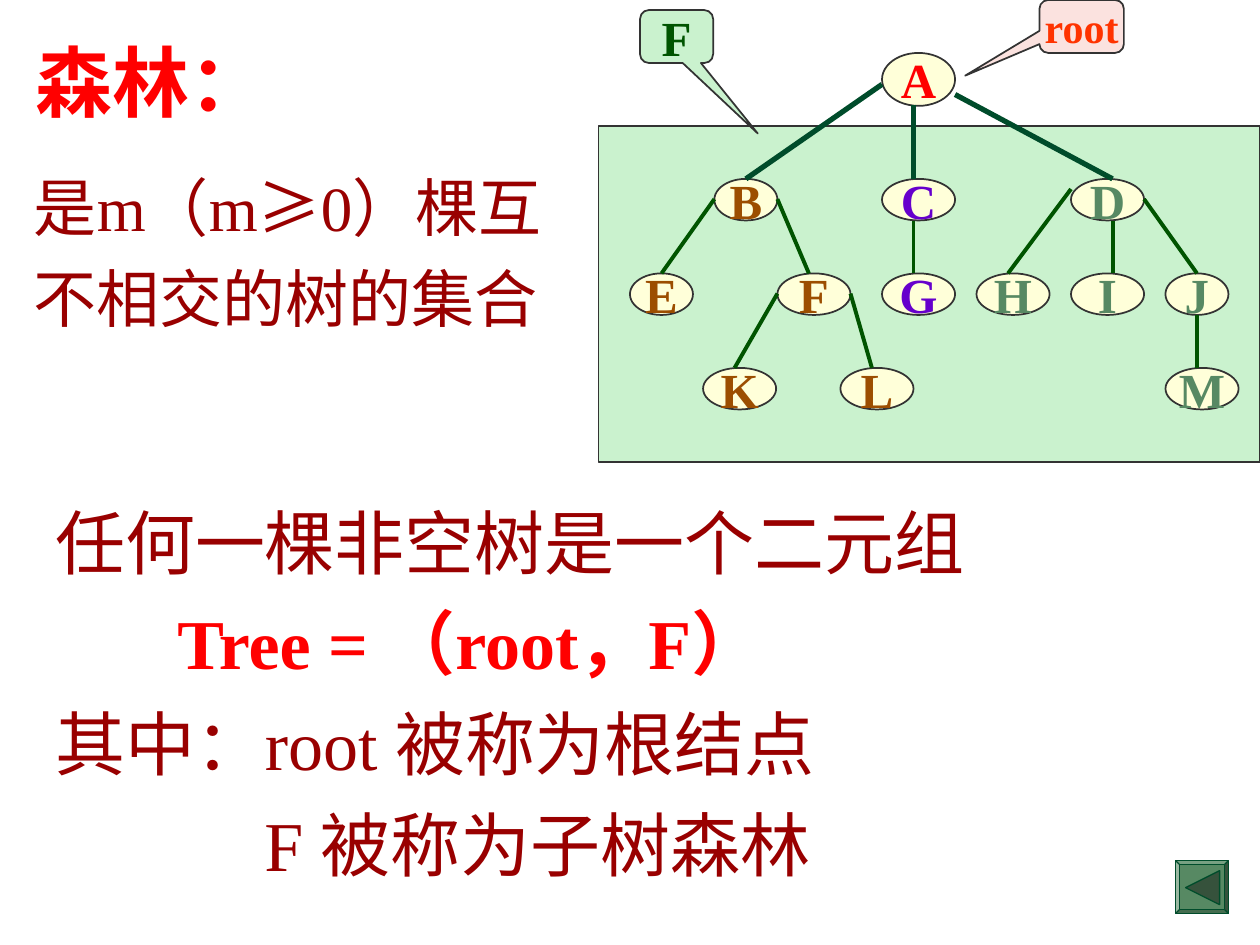
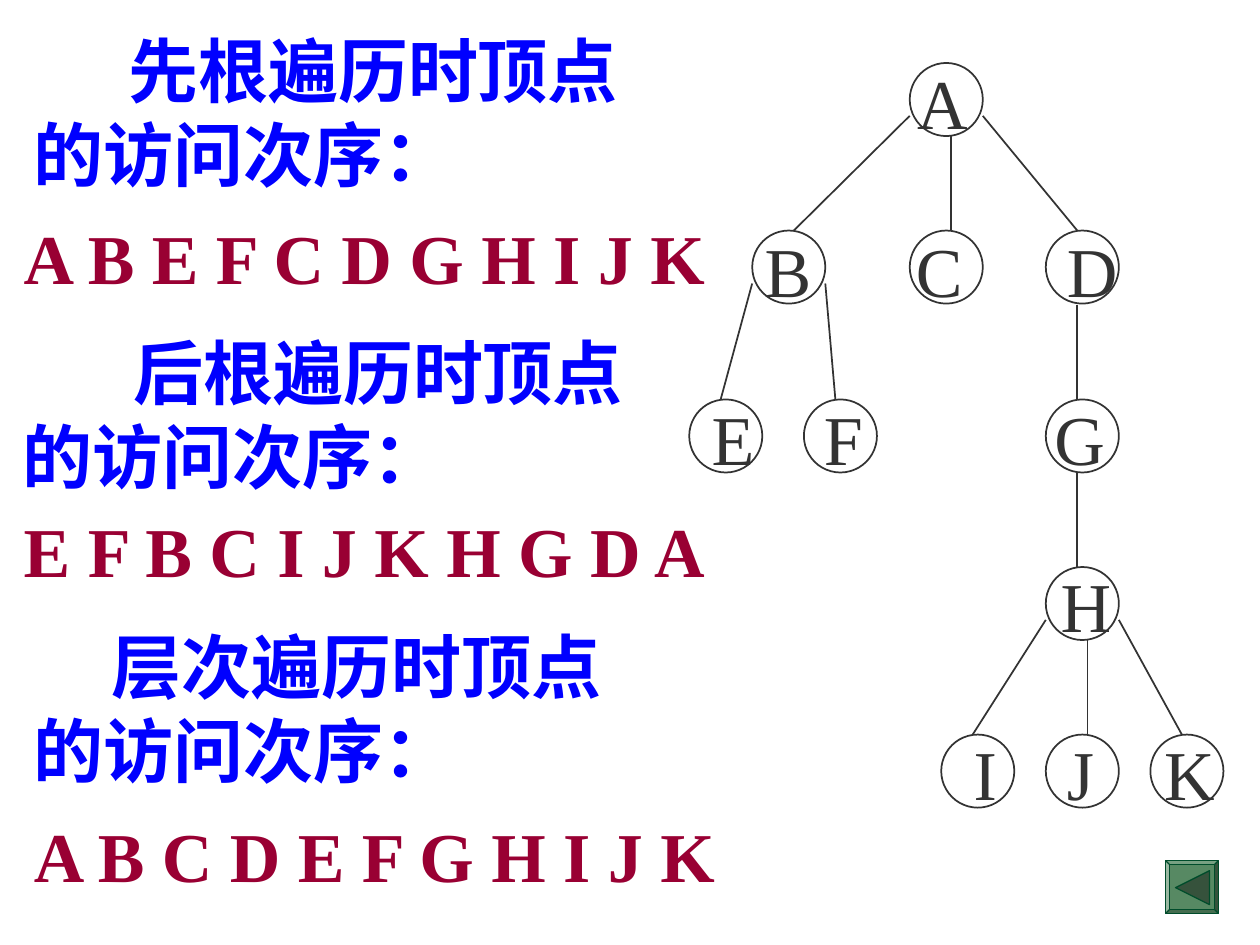
from lxml import etree
from pptx import Presentation
from pptx.dml.color import RGBColor
from pptx.enum import shapes, text
from pptx.oxml.ns import qn
from pptx.util import Inches, Pt

HUES = {"ink": "333333", "red": "FF0000", "maroon": "990000", "wine": "990033",
        "blue": "0000FF", "cream": "FFFFD9", "mint": "CAF2CE", "pink": "FBE2DF",
        "orange": "FF3300", "brown": "9C4E00", "violet": "6600CC", "sage": "578963",
        "leaf": "005400", "pine": "004C2B", "moss": "36523C"}
HUES = {name: RGBColor.from_string(code) for name, code in HUES.items()}
KIND = shapes.MSO_SHAPE

deck = Presentation()
deck.slide_width, deck.slide_height = Inches(10), Inches(7.5)
blank = deck.slide_layouts[6]


def form(slide, kind, box, fill=None, line="ink", width=1):
    """Add a preset shape without shadow; no fill name means an empty one."""
    shape = slide.shapes.add_shape(kind, *map(Inches, box))
    shape.shadow.inherit = False
    if fill:
        shape.fill.solid()
        shape.fill.fore_color.rgb = HUES[fill]
    else:
        shape.fill.background()
    shape.line.color.rgb = HUES[line]
    shape.line.width = Pt(width)
    return shape


def write(shape, lines, size, hue, bold=False, wrap=False, space=None, center=False):
    """Fill a shape with lines, each a string or (string, indent, hue, bold)."""
    frame = shape.text_frame
    frame.word_wrap = wrap
    frame.vertical_anchor = text.MSO_ANCHOR.MIDDLE if center else text.MSO_ANCHOR.TOP
    for i, line in enumerate(lines):
        words, indent, tint, heavy = (line, 0, hue, bold) if isinstance(line, str) else line
        para = frame.paragraphs[0] if i == 0 else frame.add_paragraph()
        if indent:
            para._p.get_or_add_pPr().set("indent", str(Inches(indent)))
        if space:
            para.line_spacing = space
        para.alignment = text.PP_ALIGN.CENTER if center else text.PP_ALIGN.LEFT
        for part in filter(None, words.partition("≥")):
            run = para.add_run()
            run.text = part
            if part == "≥":
                run.font.name = "Noto Sans CJK SC"
        para.font.name = "Times New Roman"
        para.font.size = Pt(size)
        para.font.bold = heavy
        para.font.color.rgb = HUES[tint]


# Slide 1: forest and the tree as a pair
forest = deck.slides.add_slide(blank)
pair = forest.shapes.add_textbox(*map(Inches, (0.34, 3.78, 7.6, 3.3)))
write(pair, ["任何一棵非空树是一个二元组",
             ("Tree = （root，F）", 0.97, "red", True),
             "其中：root 被称为根结点",
             ("F 被称为子树森林", 1.66, "maroon", False)], 40, "maroon", wrap=True, space=1.2)
title = forest.shapes.add_textbox(*map(Inches, (0.18, 0.08, 2.03, 0.98)))
write(title, ["森林："], 44, "red", True, space=1.2)
body = forest.shapes.add_textbox(*map(Inches, (0.17, 1.17, 4.75, 1.54)))
write(body, ["是m（m≥0）棵互", "不相交的树的集合"], 36, "maroon", wrap=True, space=1.2)

form(forest, KIND.RECTANGLE, (4.75, 1, 5.25, 2.67), "mint")
calls = [("root", (8.25, 0, 0.67, 0.42), (-1.38, 0.93), "pink", 24, "orange"),
         ("F", (5.08, 0.08, 0.58, 0.42), (1.11, 1.83), "mint", 28, "leaf")]
for label, box, tip, fill, size, hue in calls:
    call = form(forest, KIND.ROUNDED_RECTANGULAR_CALLOUT, box, fill)
    call.adjustments[0], call.adjustments[1] = tip
    write(call, [label], size, hue, True, center=True)

rows = [(0.42, 0.42, [("A", 7, 0.58, "red")]),
        (1.42, 0.33, [("B", 5.67, 0.5, "brown"), ("C", 7, 0.58, "violet"),
                      ("D", 8.5, 0.58, "sage")]),
        (2.17, 0.33, [("E", 5, 0.5, "brown"), ("F", 6.17, 0.58, "brown"),
                      ("G", 7, 0.58, "violet"), ("H", 7.75, 0.58, "sage"),
                      ("I", 8.5, 0.58, "sage"), ("J", 9.25, 0.5, "sage")]),
        (2.92, 0.33, [("K", 5.58, 0.58, "brown"), ("L", 6.67, 0.58, "brown"),
                      ("M", 9.25, 0.58, "sage")])]
for top, high, nodes in rows:
    for label, left, wide, hue in nodes:
        node = form(forest, KIND.OVAL, (left, top, wide, high), "cream")
        write(node, [label], 28, hue, True, center=True)

twigs = [(5.67, 1.58, 5.25, 2.17), (6.17, 1.58, 6.42, 2.17), (6.17, 2.33, 5.83, 2.92),
         (6.75, 2.33, 6.92, 2.92), (7.25, 1.75, 7.25, 2.17), (8.5, 1.5, 8, 2.17),
         (8.83, 1.75, 8.83, 2.17), (9.08, 1.58, 9.5, 2.17), (9.5, 2.5, 9.5, 2.92)]
limbs = [(7, 0.67, 5.92, 1.42), (7.25, 0.83, 7.25, 1.42), (7.58, 0.75, 8.83, 1.42)]

# Slide 2: visiting orders
walk = deck.slides.add_slide(blank)
names = walk.shapes.add_textbox(*map(Inches, (5.55, 0.42, 4.3, 6.1)))
levels = [("A", [1.63]), ("BCD", [0.42, 1.62, 2.82]), ("EFG", [0, 0.89, 2.72]),
          ("H", [2.77]), ("IJK", [2.08, 2.82, 3.59])]
write(names, ["\t".join(keys) if stops[0] == 0 else "\t" + "\t".join(keys)
              for keys, stops in levels], 40, "ink", wrap=True)
for i, (para, (keys, stops)) in enumerate(zip(names.text_frame.paragraphs, levels)):
    if i:
        para.space_before = Pt(48)
    tabs = etree.Element(qn("a:tabLst"))
    for stop in filter(None, stops):
        etree.SubElement(tabs, qn("a:tab"), pos=str(Inches(stop)), algn="l")
    para._p.pPr.find(qn("a:defRPr")).addprevious(tabs)

rings = [[7.22], [5.97, 7.22, 8.3], [5.47, 6.38, 8.3], [8.3], [7.47, 8.3, 9.13]]
for i, lefts in enumerate(rings):
    for left in lefts:
        form(walk, KIND.OVAL, (left, round(0.5 + i * 4 / 3, 2), 0.58, 0.58))

links = [(7.55, 1.08, 7.55, 1.83), (7.22, 0.92, 6.3, 1.83), (7.8, 0.92, 8.55, 1.83),
         (5.97, 2.25, 5.72, 3.17), (6.55, 2.25, 6.63, 3.17), (8.55, 2.42, 8.55, 3.17),
         (8.55, 3.75, 8.55, 4.5), (8.63, 5.08, 8.63, 5.83), (8.3, 4.92, 7.72, 5.83),
         (8.88, 4.92, 9.38, 5.83)]

orders = [("先根", (0.17, 0.17, 5.08, 1.44), 0.75, "A B E F C D G H I J K", 0.09, 1.65),
          ("后根", (0.08, 2.57, 5.18, 1.44), 0.88, "E F B C I J K H G D A", 0.09, 3.98),
          ("层次", (0.17, 4.9, 4.83, 1.44), 0.62, "A B C D E F G H I J K", 0.17, 6.4)]
for kind, box, indent, order, left, top in orders:
    head = walk.shapes.add_textbox(*map(Inches, box))
    write(head, [(kind + "遍历时顶点的访问次序：", indent, "blue", True)], 40, "blue", wrap=True)
    answer = walk.shapes.add_textbox(*map(Inches, (left, top, 5.66, 0.77)))
    write(answer, [order], 40, "wine", True)

# Tree edges of both slides
for slide, edges, hue, width in [(forest, twigs, "leaf", 2.25), (forest, limbs, "pine", 3),
                                 (walk, links, "ink", 1)]:
    for ends in edges:
        edge = slide.shapes.add_connector(shapes.MSO_CONNECTOR.STRAIGHT, *map(Inches, ends))
        edge.line.color.rgb = HUES[hue]
        edge.line.width = Pt(width)
        etree.SubElement(edge._element.spPr, qn("a:effectLst"))

# Back button of both slides
for slide, left in [(forest, 9.33), (walk, 9.25)]:
    key = form(slide, KIND.BEVEL, (left, 6.83, 0.42, 0.42), "sage", "pine", 0.75)
    key.adjustments[0] = 0.07
    arrow = form(slide, KIND.ISOSCELES_TRIANGLE, (left + 0.08, 6.91, 0.27, 0.27),
                 "moss", "pine", 0.75)
    arrow.rotation = 270

deck.save("out.pptx")
